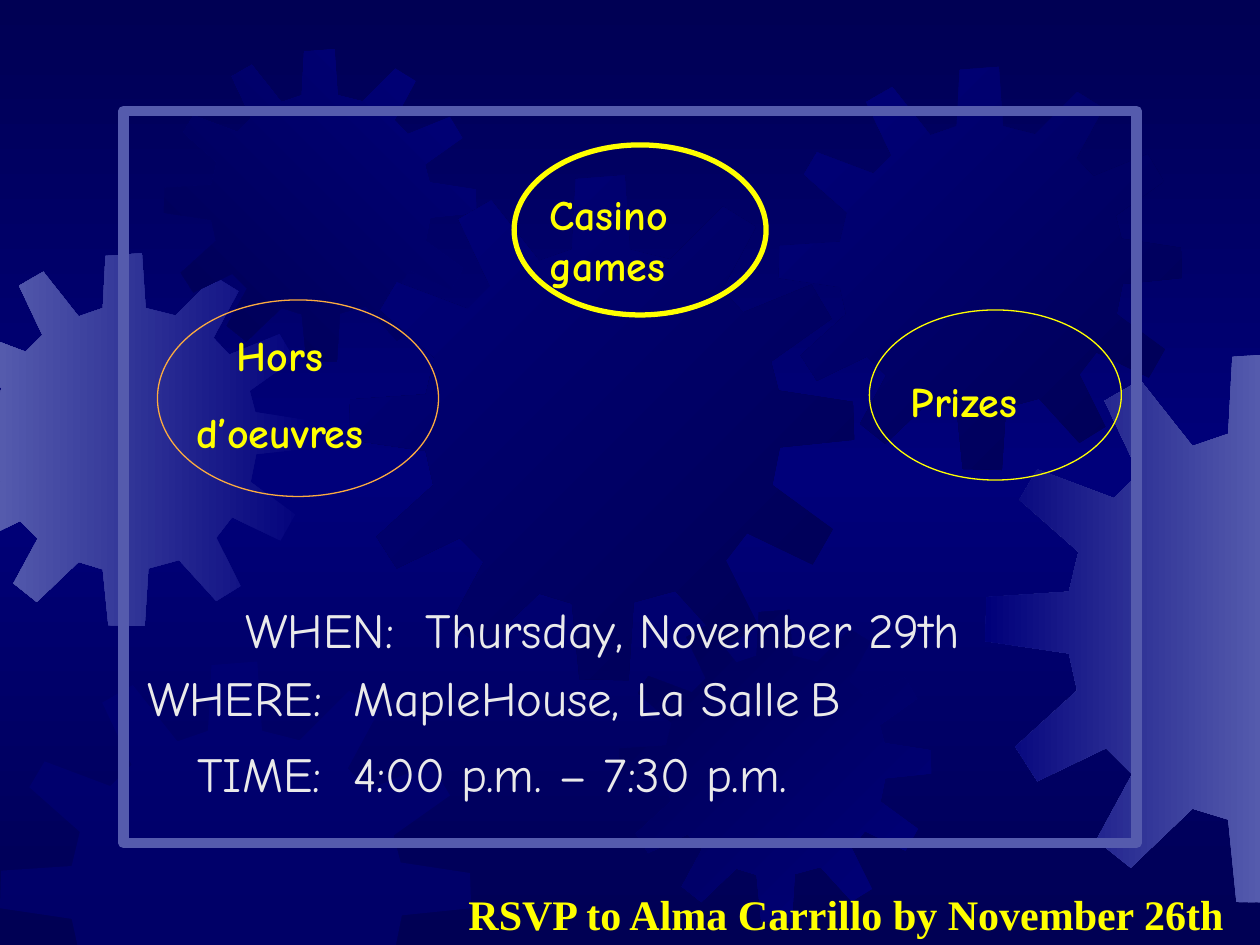
from copy import deepcopy
from dataclasses import dataclass

from lxml.etree import SubElement
from pptx import Presentation
from pptx.dml.color import RGBColor
from pptx.enum.shapes import MSO_SHAPE
from pptx.enum.text import MSO_AUTO_SIZE, PP_ALIGN
from pptx.oxml.ns import qn
from pptx.util import Pt

NIGHT, NAVY, STEEL = "000054", "00007A", "555BAD"
YELLOW, ORANGE, PALE = "FFFF00", "FCAB40", "EAEAEA"
SCRIPT, SERIF = "Comic Neue", "Times New Roman"

# Outline of one gear inside a square of GEAR_SIDE units
GEAR_SIDE = 401
GEAR_OUTLINE = [
    (255, 67), (223, 59), (219, 0), (180, 3), (177, 59), (151, 68),
    (113, 20), (87, 35), (112, 88), (94, 106), (38, 85), (25, 107),
    (68, 145), (61, 174), (1, 178), (0, 210), (61, 219), (67, 246),
    (22, 287), (38, 312), (88, 288), (107, 307), (81, 355), (106, 375),
    (151, 332), (177, 340), (183, 400), (222, 401), (226, 339), (259, 330),
    (299, 374), (325, 358), (299, 306), (316, 284), (368, 309), (384, 281),
    (336, 246), (342, 216), (401, 210), (400, 180), (341, 171), (335, 148),
    (383, 114), (367, 87), (313, 109), (296, 91), (323, 41), (297, 25),
]
# Edges that gears are trimmed to: axis (0 is x, 1 is y), limit, kept side
TRIM_EDGES = [(0, -0.7, 1), (0, 720.7, -1), (1, 542.9, -1)]


@dataclass
class Gear:
    left: float
    top: float
    side: float
    colors: tuple[str, str]
    angle: int  # counter-clockwise
    alpha: int = 100


@dataclass
class Bubble:
    oval: tuple[float, float, float, float]
    label: tuple[float, float, float, float]
    lines: list[str]
    color: str
    weight: float
    align: PP_ALIGN = PP_ALIGN.LEFT
    right_inset: float = 7.2


@dataclass
class Detail:
    left: float
    top: float
    width: float
    text: str
    tabs: list[float]


GEARS = [
    Gear(-35.3, 144.7, 213.1, (NAVY, STEEL), 180),
    Gear(93.6, 28.1, 178.6, (NAVY, NIGHT), 225),
    Gear(199.4, 100.1, 288.7, (NIGHT, NAVY), 135),
    Gear(0, 378, 269.3, (NAVY, NAVY), 0, 50),
    Gear(353.5, 348.5, 178.6, (NAVY, NIGHT), 135),
    Gear(445, 38.2, 230.4, (NIGHT, NAVY), 135),
    Gear(563, 201.6, 314.6, (STEEL, NAVY), 180),
]
BUBBLES = [
    Bubble((90, 171.4, 160.6, 112.3), (93.6, 185, 142.6, 79.9),
           ["Hors", "d’oeuvres"], ORANGE, 0.75, PP_ALIGN.CENTER, 17),
    Bubble((293.8, 82.8, 144, 97.2), (306.7, 104.4, 113, 64.8),
           ["Casino games"], YELLOW, 3),
    Bubble((496.8, 177.1, 144, 97.2), (513.4, 211, 113, 36),
           ["Prizes"], YELLOW, 0.75),
]
DETAILS = [
    Detail(133.2, 339.1, 462.2, "WHEN:\tThursday, November 29th", [103]),
    Detail(77, 378, 558.7, "WHERE:\tMapleHouse, La Salle\tB", [118, 379]),
    Detail(105.8, 421.2, 460.8, "TIME:\t4:00 p.m. – 7:30 p.m.", [89]),
]


def rgb(value: str) -> RGBColor:
    return RGBColor.from_string(value)


def trim(points: list, axis: int, limit: float, side: int) -> list:
    """Cut a polygon along one straight edge."""
    kept = []
    for start, end in zip(points[-1:] + points[:-1], points):
        before, after = side * (start[axis] - limit), side * (end[axis] - limit)
        if (before < 0) != (after < 0):
            share = before / (before - after)
            kept.append(tuple(a + share * (b - a) for a, b in zip(start, end)))
        if after >= 0:
            kept.append(end)
    return kept


def set_gradient(fill, colors: tuple[str, str], angle: int) -> None:
    fill.gradient()
    fill.gradient_angle = angle
    for stop, color, position in zip(fill.gradient_stops, colors, (0, 1)):
        stop.color.rgb = rgb(color)
        stop.position = position


def draw_gear(shapes, gear: Gear) -> None:
    scale = gear.side / GEAR_SIDE
    points = [(gear.left + x * scale, gear.top + y * scale) for x, y in GEAR_OUTLINE]
    for edge in TRIM_EDGES:
        points = trim(points, *edge)
    corners = [(Pt(x), Pt(y)) for x, y in points]
    builder = shapes.build_freeform(*corners[0], scale=1.0)
    builder.add_line_segments(corners[1:], close=True)
    shape = builder.convert_to_shape()
    shape.shadow.inherit = False
    shape.line.fill.background()
    if gear.alpha == 100:
        set_gradient(shape.fill, gear.colors, gear.angle)
    else:
        shape.fill.solid()
        shape.fill.fore_color.rgb = rgb(gear.colors[0])
        color = shape.element.spPr.find(".//" + qn("a:srgbClr"))
        SubElement(color, qn("a:alpha"), val=str(gear.alpha * 1000))


def draw_outline(shapes, kind: MSO_SHAPE, area: tuple, color: str, weight: float) -> None:
    shape = shapes.add_shape(kind, *map(Pt, area))
    shape.shadow.inherit = False
    shape.fill.background()
    shape.line.color.rgb = rgb(color)
    shape.line.width = Pt(weight)


def add_text(shapes, area: tuple, lines: list[str], *, font: str = SCRIPT,
             size: float = 24, color: str = YELLOW, bold: bool = True,
             align: PP_ALIGN = PP_ALIGN.LEFT, before: float = 15,
             right_inset: float = 7.2, tabs: tuple | list = ()) -> None:
    box = shapes.add_textbox(*map(Pt, area))
    frame = box.text_frame
    frame.word_wrap = True
    frame.auto_size = MSO_AUTO_SIZE.SHAPE_TO_FIT_TEXT
    frame.margin_right = Pt(right_inset)
    for index, line in enumerate(lines):
        para = frame.paragraphs[0] if index == 0 else frame.add_paragraph()
        para.alignment = align
        para.space_before = Pt(before)
        if tabs:
            stops = SubElement(para._p.get_or_add_pPr(), qn("a:tabLst"))
            for tab in tabs:
                SubElement(stops, qn("a:tab"), pos=str(Pt(tab)), algn="l")
        span = para.add_run()
        span.text = line
        span.font.name = font
        span.font.size = Pt(size)
        span.font.bold = bold
        span.font.color.rgb = rgb(color)


def draw_bubble(shapes, bubble: Bubble) -> None:
    group = shapes.add_group_shape()
    add_text(group.shapes, bubble.label, bubble.lines, align=bubble.align,
             right_inset=bubble.right_inset)
    draw_outline(group.shapes, MSO_SHAPE.OVAL, bubble.oval, bubble.color, bubble.weight)


def draw_background(page) -> None:
    """Night at top and bottom, navy across the middle."""
    fill = page.background.fill
    set_gradient(fill, (NIGHT, NAVY), 270)
    stops = page.element.find(".//" + qn("a:gsLst"))
    stops.append(deepcopy(stops[0]))
    stops[1].set("pos", "50000")
    stops[2].set("pos", "100000")


def main() -> None:
    deck = Presentation()
    deck.slide_width, deck.slide_height = Pt(720), Pt(540)
    page = deck.slides.add_slide(deck.slide_layouts[6])
    shapes = page.shapes

    # Backdrop
    draw_background(page)
    for gear in GEARS:
        draw_gear(shapes, gear)

    # Attractions
    for bubble in BUBBLES:
        draw_bubble(shapes, bubble)

    # Event details and reply line
    for detail in DETAILS:
        add_text(shapes, (detail.left, detail.top, detail.width, 41), [detail.text],
                 size=28, color=PALE, bold=False, before=0, tabs=detail.tabs)
    add_text(shapes, (260.6, 504, 452.2, 36),
             ["RSVP to Alma Carrillo by November 26th"], font=SERIF)

    # Frame
    draw_outline(shapes, MSO_SHAPE.RECTANGLE, (70.6, 63.4, 578.9, 418.3), STEEL, 6)
    deck.save("out.pptx")


if __name__ == "__main__":
    main()
